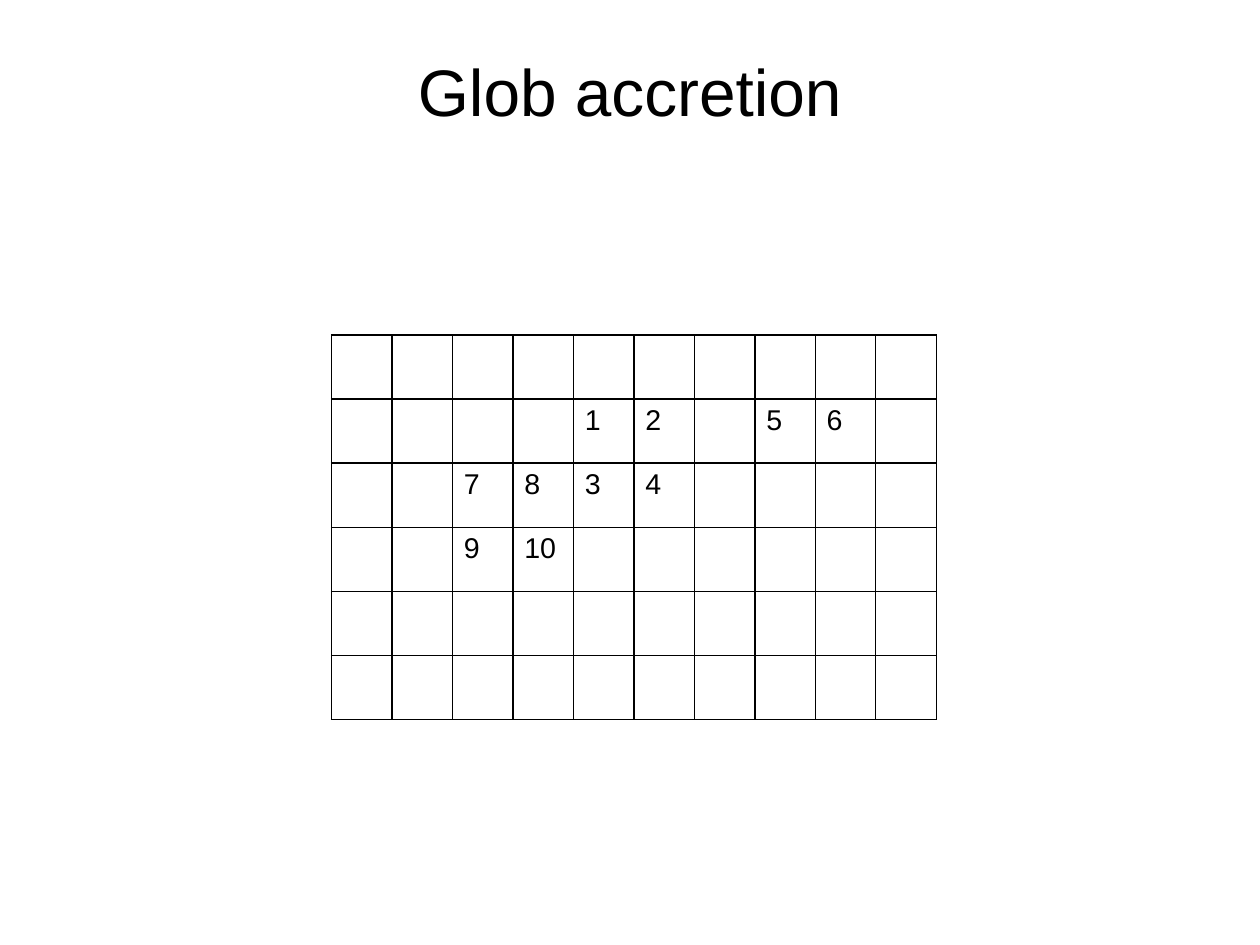
"""Build the "Glob accretion" slide: a title above a grid of numbered cells."""
from lxml.etree import SubElement
from pptx import Presentation
from pptx.dml.color import RGBColor
from pptx.enum.text import MSO_ANCHOR as Anchor, PP_ALIGN as Align
from pptx.oxml.ns import qn
from pptx.util import Pt

BLACK, WHITE = "000000", "FFFFFF"
ROWS, COLUMNS = 6, 10
COLUMN_WIDTH, ROW_HEIGHT = 38.1, 40.38
NUMBERS = {
    (1, 4): 1, (1, 5): 2, (2, 4): 3, (2, 5): 4, (1, 7): 5,
    (1, 8): 6, (2, 2): 7, (2, 3): 8, (3, 2): 9, (3, 3): 10,
}


def write(frame, text, size=18, color=BLACK, align=Align.LEFT, anchor=Anchor.TOP):
    frame.word_wrap = True
    frame.vertical_anchor = anchor
    paragraph = frame.paragraphs[0]
    paragraph.alignment = align
    run = paragraph.add_run()
    run.text = text
    run.font.name = "Arial"
    run.font.size = Pt(size)
    run.font.color.rgb = RGBColor.from_string(color)


def add_borders(cell, color=BLACK, width=1):
    properties = cell._tc.get_or_add_tcPr()
    for side in ("a:lnL", "a:lnR", "a:lnT", "a:lnB"):
        line = SubElement(properties, qn(side), w=str(Pt(width)))
        fill = SubElement(line, qn("a:solidFill"))
        SubElement(fill, qn("a:srgbClr"), val=color)


presentation = Presentation()
presentation.slide_width, presentation.slide_height = Pt(793.7), Pt(595.28)
slide = presentation.slides.add_slide(presentation.slide_layouts[6])

title = slide.shapes.add_textbox(Pt(39.6), Pt(22.7), Pt(714.2), Pt(67.7)).text_frame
title.margin_left = title.margin_right = title.margin_top = title.margin_bottom = 0
write(title, "Glob accretion", size=41.4, align=Align.CENTER, anchor=Anchor.MIDDLE)

grid = slide.shapes.add_table(
    ROWS, COLUMNS, Pt(208.8), Pt(211), Pt(COLUMNS * COLUMN_WIDTH), Pt(ROWS * ROW_HEIGHT)
).table
grid.first_row = grid.horz_banding = False
for column in grid.columns:
    column.width = Pt(COLUMN_WIDTH)
for row in grid.rows:
    row.height = Pt(ROW_HEIGHT)
for cell in grid.iter_cells():
    add_borders(cell)
    cell.fill.solid()
    cell.fill.fore_color.rgb = RGBColor.from_string(WHITE)
for position, number in NUMBERS.items():
    write(grid.cell(*position).text_frame, str(number))

presentation.save("out.pptx")
